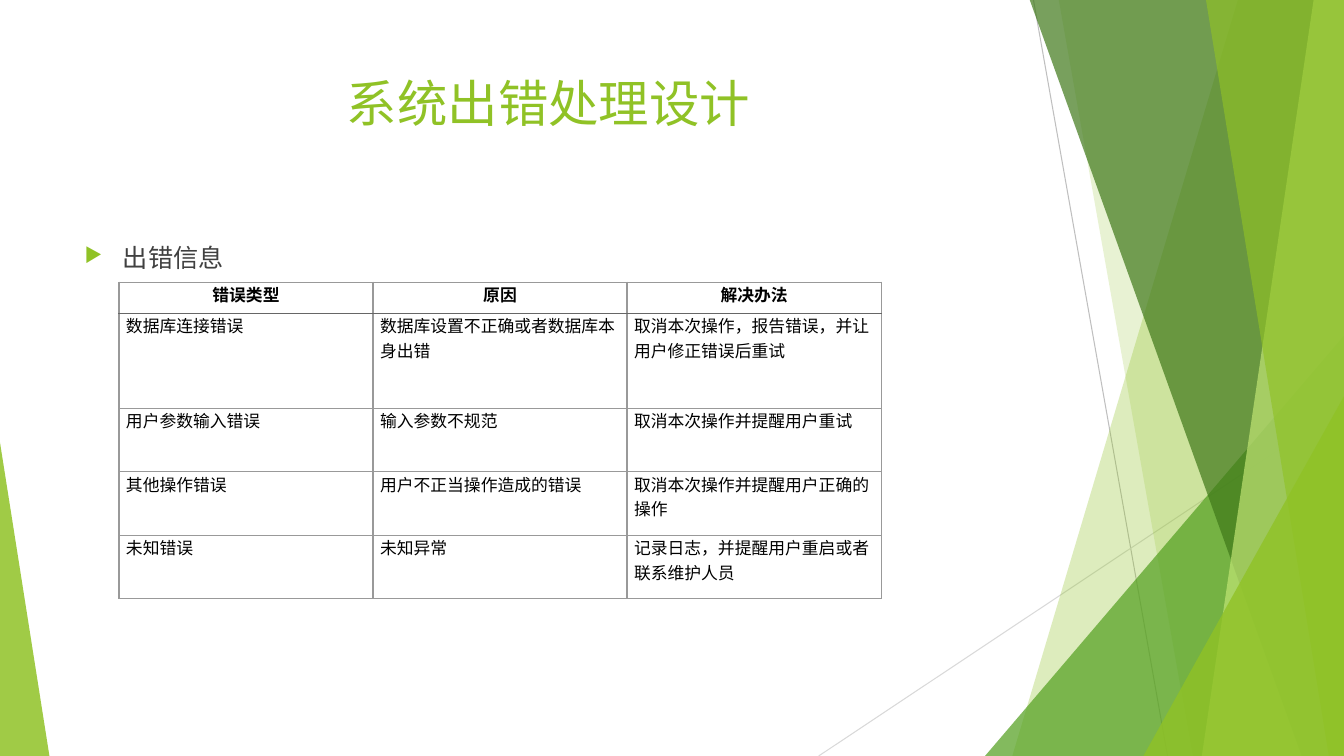
from dataclasses import dataclass

from pptx import Presentation
from pptx import util as u
from pptx.dml.color import RGBColor
from pptx.enum import shapes, text
from pptx.oxml import parse_xml
from pptx.oxml.ns import nsdecls, qn
from lxml import etree

WIDTH, HEIGHT = 13.33, 7.5


@dataclass(frozen=True)
class Theme:
    green: str = "90C226"
    mid_green: str = "54A021"
    dark_green: str = "3F7819"
    pale_green: str = "C0E474"
    body: str = "404040"
    black: str = "000000"
    white: str = "FFFFFF"
    border: str = "999999"
    header_border: str = "666666"
    ray: str = "BFBFBF"
    pale_ray: str = "D9D9D9"
    font: str = "Karla"
    table_font: str = "Calibri"
    title_size: int = 36
    body_size: int = 18
    table_size: int = 12


class SlideBuilder:
    def __init__(self, slide, theme):
        self.slide, self.theme = slide, theme
        self.shapes = slide.shapes

    def run(self, p, words, font, size, color, bold=False):
        r = p.add_run()
        r.text = words
        r.font.name, r.font.size, r.font.bold = font, u.Pt(size), bold
        r.font.color.rgb = RGBColor.from_string(color)

    def paint(self, sp, color, opacity):
        sp.shadow.inherit = False
        sp.line.fill.background()
        sp.fill.solid()
        sp.fill.fore_color.rgb = RGBColor.from_string(color)
        clr = sp.fill._xPr.find(".//" + qn("a:srgbClr"))
        etree.SubElement(clr, qn("a:alpha"), val=str(opacity * 1000))

    def ray(self, start, end, color):
        ends = [u.Inches(n) for n in (*start, *end)]
        line = self.shapes.add_connector(shapes.MSO_CONNECTOR.STRAIGHT, *ends)
        line.line.color.rgb = RGBColor.from_string(color)
        line.line.width = u.Pt(0.75)
        etree.SubElement(line._element.spPr, qn("a:effectLst"))

    def band(self, top_x, bottom_x, color, opacity):
        """Fill from a slanted left edge to the right side of the slide."""
        top = -0.01
        corners = [(top_x, top), (WIDTH, top), (WIDTH, HEIGHT), (bottom_x, HEIGHT)]
        first, *rest = [(u.Inches(x), u.Inches(y)) for x, y in corners]
        builder = self.shapes.build_freeform(*first)
        builder.add_line_segments(rest, close=True)
        self.paint(builder.convert_to_shape(), color, opacity)

    def corner(self, left, top, width, apex, color, opacity):
        """Triangle standing on the bottom edge of the slide."""
        box = [u.Inches(n) for n in (left, top, width, HEIGHT - top)]
        sp = self.shapes.add_shape(shapes.MSO_SHAPE.ISOSCELES_TRIANGLE, *box)
        sp.adjustments[0] = apex
        self.paint(sp, color, opacity)

    def place(self, sp, left, top, width, height):
        sp.left, sp.top = u.Inches(left), u.Inches(top)
        sp.width, sp.height = u.Inches(width), u.Inches(height)
        tf = sp.text_frame
        tf.word_wrap = True
        tf.auto_size = text.MSO_AUTO_SIZE.NONE
        tf.vertical_anchor = text.MSO_ANCHOR.TOP
        return tf.paragraphs[0]

    def title(self, words, *box):
        t = self.theme
        p = self.place(self.shapes.title, *box)
        p.alignment = text.PP_ALIGN.CENTER
        self.run(p, words, t.font, t.title_size, t.green)

    def bullet(self, words, *box):
        t = self.theme
        p = self.place(self.shapes.add_textbox(0, 0, 0, 0), *box)
        pPr = p._p.get_or_add_pPr()
        indent = u.Inches(0.38)
        pPr.set("marL", str(indent))
        pPr.set("indent", str(-indent))
        for xml in (f'<a:buClr {nsdecls("a")}><a:srgbClr val="{t.green}"/></a:buClr>',
                    f'<a:buSzPct {nsdecls("a")} val="80000"/>',
                    f'<a:buChar {nsdecls("a")} char="▶"/>'):
            pPr.append(parse_xml(xml))
        self.run(p, words, t.font, t.body_size, t.body)

    def borders(self, cell, heavy_side):
        t = self.theme
        tcPr = cell._tc.get_or_add_tcPr()
        for i, side in enumerate("LRTB"):
            heavy = side == heavy_side
            color, width = (t.header_border, 1.5) if heavy else (t.border, 1)
            tcPr.insert(i, parse_xml(
                f'<a:ln{side} {nsdecls("a")} w="{u.Pt(width)}"><a:solidFill>'
                f'<a:srgbClr val="{color}"/></a:solidFill></a:ln{side}>'))

    def table(self, rows, left, top, col_width, heights):
        t = self.theme
        columns = len(rows[0])
        box = [u.Inches(n) for n in (left, top, col_width * columns, sum(heights))]
        table = self.shapes.add_table(len(rows), columns, *box).table
        table.first_row = table.horz_banding = False
        for column in table.columns:
            column.width = u.Inches(col_width)
        for i, (row, height) in enumerate(zip(rows, heights)):
            table.rows[i].height = u.Inches(height)
            for j, words in enumerate(row):
                cell = table.cell(i, j)
                cell.margin_left = cell.margin_right = u.Inches(0.07)
                cell.margin_top = cell.margin_bottom = 0
                cell.fill.solid()
                cell.fill.fore_color.rgb = RGBColor.from_string(t.white)
                self.borders(cell, {0: "B", 1: "T"}.get(i))
                p = cell.text_frame.paragraphs[0]
                p.alignment = text.PP_ALIGN.LEFT if i else text.PP_ALIGN.CENTER
                self.run(p, words, t.table_font, t.table_size, t.black, bold=i == 0)


ERRORS = [
    ("错误类型", "原因", "解决办法"),
    ("数据库连接错误", "数据库设置不正确或者数据库本身出错",
     "取消本次操作，报告错误，并让用户修正错误后重试"),
    ("用户参数输入错误", "输入参数不规范", "取消本次操作并提醒用户重试"),
    ("其他操作错误", "用户不正当操作造成的错误", "取消本次操作并提醒用户正确的操作"),
    ("未知错误", "未知异常", "记录日志，并提醒用户重启或者联系维护人员"),
]


def main():
    prs = Presentation()
    prs.slide_width, prs.slide_height = u.Inches(WIDTH), u.Inches(HEIGHT)
    theme = Theme()
    s = SlideBuilder(prs.slides.add_slide(prs.slide_layouts[5]), theme)

    # Faceted backdrop
    s.ray((10.25, 0), (11.58, HEIGHT), theme.ray)
    s.ray((WIDTH, 4.03), (8.12, HEIGHT), theme.pale_ray)
    s.band(12.28, 10.04, theme.green, 30)
    s.band(10.5, 11.83, theme.green, 20)
    s.corner(9.77, 3.33, 3.56, 1, theme.mid_green, 72)
    s.band(10.21, 12.91, theme.dark_green, 70)
    s.band(13.03, 11.92, theme.pale_green, 70)
    s.band(11.96, 13.18, theme.green, 65)
    s.corner(11.34, 3.93, 1.99, 1, theme.green, 80)
    s.corner(0, 4.39, 0.49, 0, theme.green, 85)

    # Title and bullet
    s.title("系统出错处理设计", 0.74, 0.67, 9.4, 1.44)
    s.bullet("出错信息", 0.74, 2.36, 9.4, 4.24)

    # Error table
    s.table(ERRORS, 1.18, 2.8, 2.52, [0.31, 0.94, 0.63, 0.63, 0.63])

    prs.save("out.pptx")


if __name__ == "__main__":
    main()
